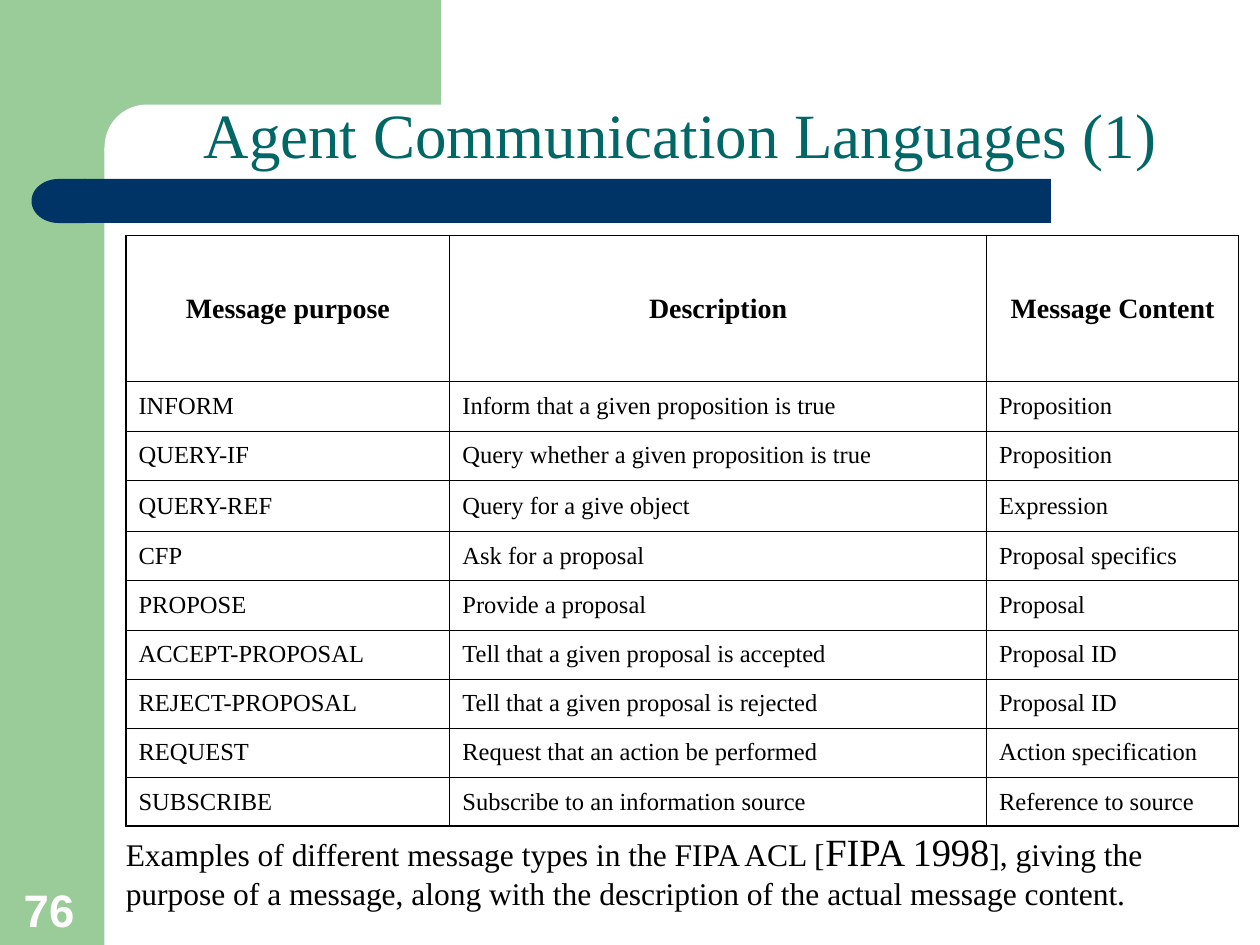
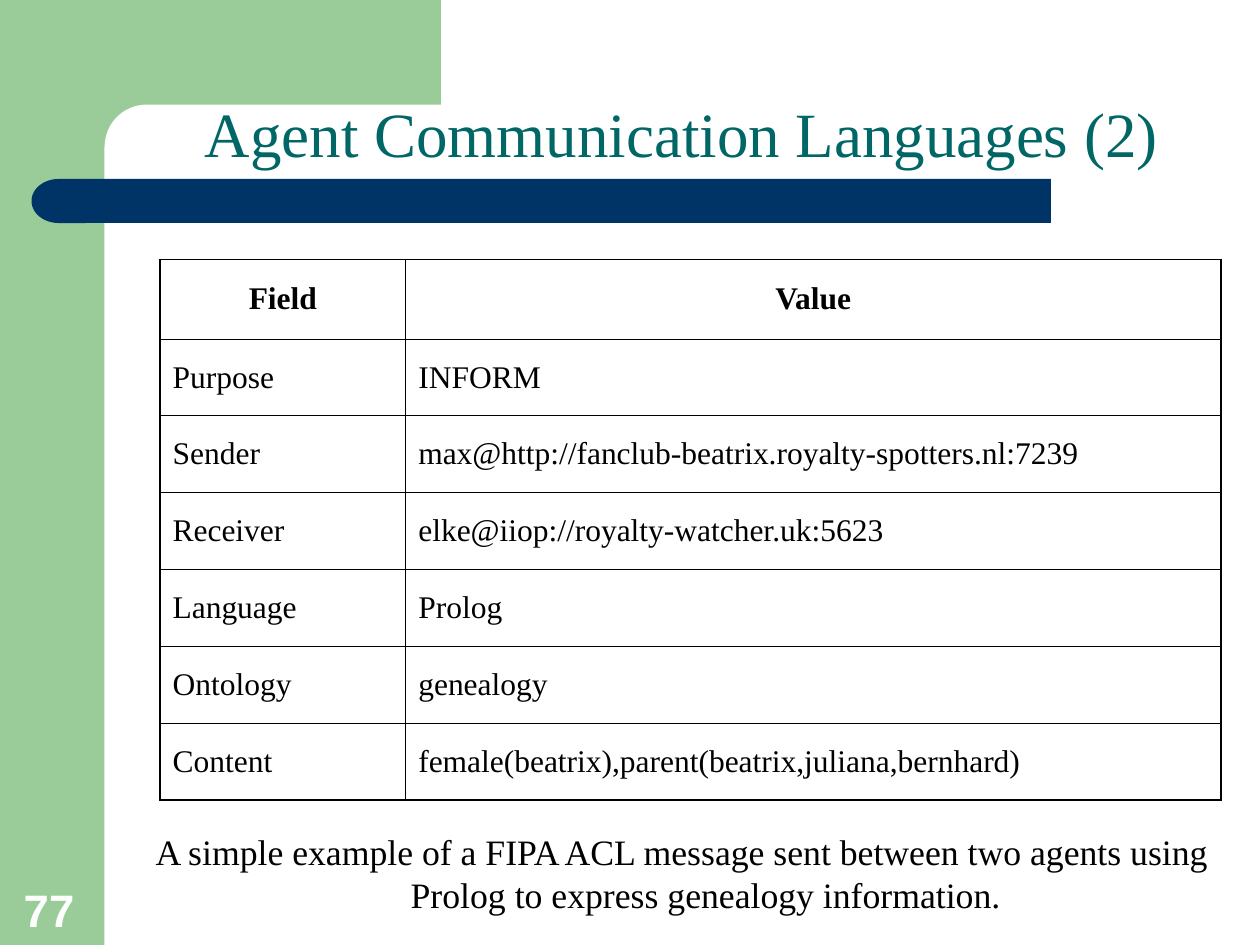
from lxml.etree import SubElement
from pptx import Presentation
from pptx.dml.color import RGBColor
from pptx.enum.shapes import MSO_SHAPE
from pptx.enum.text import MSO_ANCHOR, PP_ALIGN
from pptx.oxml.ns import qn
from pptx.util import Inches, Pt

GREEN = RGBColor(0x99, 0xCC, 0x99)
NAVY = RGBColor(0x00, 0x33, 0x66)
TEAL = RGBColor(0x00, 0x66, 0x66)
BLACK = RGBColor(0x00, 0x00, 0x00)
WHITE = RGBColor(0xFF, 0xFF, 0xFF)
SERIF, SANS = "Times New Roman", "Arial"
OUTER_LINE, INNER_LINE = Pt(1.08), Pt(0.45)
HANGING = 0.38

# Each caption paragraph is a list of (text, size) runs; boxes are left, top, width, height.
PAGES = [
    {
        "number": "76",
        "title": "Agent Communication Languages (1)",
        "title_box": (0.8, 0.75, 9.2, 0.66),
        "table_corner": (1, 1.87),
        "columns": [2.57, 4.26, 2],
        "row_heights": [1.16, 0.39, 0.39, 0.41] + [0.39] * 6,
        "sizes": (16, 14),
        "rows": [
            ("Message purpose", "Description", "Message Content"),
            ("INFORM", "Inform that a given proposition is true", "Proposition"),
            ("QUERY-IF", "Query whether a given proposition is true", "Proposition"),
            ("QUERY-REF", "Query for a give object", "Expression"),
            ("CFP", "Ask for a proposal", "Proposal specifics"),
            ("PROPOSE", "Provide a proposal", "Proposal"),
            ("ACCEPT-PROPOSAL", "Tell that a given proposal is accepted", "Proposal ID"),
            ("REJECT-PROPOSAL", "Tell that a given proposal is rejected", "Proposal ID"),
            ("REQUEST", "Request that an action be performed", "Action specification"),
            ("SUBSCRIBE", "Subscribe to an information source", "Reference to source"),
        ],
        "caption_box": (0.9, 6.59, 9.1, 0.91),
        "caption_align": PP_ALIGN.LEFT,
        "caption_spacing": 0.8,
        "caption": [
            [("Examples of different message types in the FIPA ACL [", 18),
             ("FIPA 1998", 22), ("], giving the", 18)],
            [("purpose of a message, along with the description of the "
              "actual message content.", 18)],
        ],
    },
    {
        "number": "77",
        "title": "Agent Communication Languages (2)",
        "title_box": (0.82, 0.82, 9.18, 0.58),
        "table_corner": (1.27, 2.06),
        "columns": [1.95, 6.47],
        "row_heights": [0.63] + [0.61] * 6,
        "sizes": (18, 18),
        "rows": [
            ("Field", "Value"),
            ("Purpose", "INFORM"),
            ("Sender", "max@http://fanclub-beatrix.royalty-spotters.nl:7239"),
            ("Receiver", "elke@iiop://royalty-watcher.uk:5623"),
            ("Language", "Prolog"),
            ("Ontology", "genealogy"),
            ("Content", "female(beatrix),parent(beatrix,juliana,bernhard)"),
        ],
        "caption_box": (0.82, 6.54, 9.18, 0.78),
        "caption_align": PP_ALIGN.CENTER,
        "caption_spacing": 1.0,
        "caption": [
            [("A simple example of a FIPA ACL message sent between two agents using "
              "Prolog to express genealogy information.", 20.4)],
        ],
    },
]

# Shared background, from back to front: shape, place, colour.
BACKDROP = [
    (MSO_SHAPE.RECTANGLE, (0, 0, 0.83, 7.5), GREEN),
    (MSO_SHAPE.RECTANGLE, (0.75, 0, 2.75, 1.17), GREEN),
    (MSO_SHAPE.ROUNDED_RECTANGLE, (0.83, 0.83, 3.42, 0.67), WHITE),
    (MSO_SHAPE.RECTANGLE, (0.67, 1.42, 7.67, 0.35), NAVY),
    (MSO_SHAPE.FLOWCHART_DELAY, (0.25, 1.42, 0.43, 0.35), NAVY),
]
NUMBER_BOX = (0.09, 6.94, 0.64, 0.54)


def inches(lengths):
    return [Inches(length) for length in lengths]


def add_span(para, text, size, color=BLACK, font=SERIF, bold=False):
    span = para.add_run()
    span.text = text
    span.font.name = font
    span.font.size = Pt(size)
    span.font.bold = bold
    span.font.color.rgb = color


def add_box(page, place, anchor):
    frame = page.shapes.add_textbox(*inches(place)).text_frame
    frame.word_wrap = True
    frame.vertical_anchor = anchor
    return frame


def draw_backdrop(page):
    for kind, place, color in BACKDROP:
        shape = page.shapes.add_shape(kind, *inches(place))
        shape.shadow.inherit = False
        shape.fill.solid()
        shape.fill.fore_color.rgb = color
        shape.line.fill.background()
        if kind == MSO_SHAPE.ROUNDED_RECTANGLE:
            shape.adjustments[0] = 0.5
        elif kind == MSO_SHAPE.FLOWCHART_DELAY:
            shape.rotation = 180


def draw_borders(cell, outer_sides):
    """Line all four sides, heavier on the sides that lie on the table's edge."""
    properties = cell._tc.get_or_add_tcPr()
    for side in "LRTB":
        width = OUTER_LINE if side in outer_sides else INNER_LINE
        line = SubElement(properties, qn(f"a:ln{side}"), w=str(int(width)))
        fill = SubElement(line, qn("a:solidFill"))
        SubElement(fill, qn("a:srgbClr"), val=str(BLACK))


def draw_table(page, content):
    rows, columns, heights = (content[key] for key in ("rows", "columns", "row_heights"))
    left, top = content["table_corner"]
    table = page.shapes.add_table(
        len(rows), len(columns),
        *inches((left, top, sum(columns), sum(heights)))).table
    table.first_row = table.horz_banding = False
    for column, width in zip(table.columns, columns):
        column.width = Inches(width)
    for row, height in zip(table.rows, heights):
        row.height = Inches(height)

    header_size, body_size = content["sizes"]
    for r, texts in enumerate(rows):
        for c, text in enumerate(texts):
            cell = table.cell(r, c)
            edges = {"L": c == 0, "R": c == len(columns) - 1,
                     "T": r == 0, "B": r == len(rows) - 1}
            draw_borders(cell, [side for side, on_edge in edges.items() if on_edge])
            cell.fill.background()
            cell.vertical_anchor = MSO_ANCHOR.MIDDLE
            para = cell.text_frame.paragraphs[0]
            para.alignment = PP_ALIGN.LEFT if r else PP_ALIGN.CENTER
            add_span(para, text, body_size if r else header_size, bold=r == 0)


def draw_caption(page, content):
    frame = add_box(page, content["caption_box"], MSO_ANCHOR.TOP)
    for index, spans in enumerate(content["caption"]):
        para = frame.add_paragraph() if index else frame.paragraphs[0]
        para.alignment = content["caption_align"]
        para.line_spacing = content["caption_spacing"]
        if index:
            para.space_before = Pt(4.5)
        properties = para._p.get_or_add_pPr()
        properties.set("marL", str(Inches(HANGING)))
        properties.set("indent", str(-Inches(HANGING)))
        for text, size in spans:
            add_span(para, text, size)


def draw_page(page, content):
    draw_backdrop(page)
    number = add_box(page, NUMBER_BOX, MSO_ANCHOR.BOTTOM).paragraphs[0]
    add_span(number, content["number"], 26, WHITE, SANS, bold=True)
    title = add_box(page, content["title_box"], MSO_ANCHOR.BOTTOM).paragraphs[0]
    title.alignment = PP_ALIGN.CENTER
    add_span(title, content["title"], 36, TEAL)
    draw_caption(page, content)
    draw_table(page, content)


def main():
    deck = Presentation()
    deck.slide_width, deck.slide_height = Inches(10), Inches(7.5)
    for content in PAGES:
        draw_page(deck.slides.add_slide(deck.slide_layouts[6]), content)
    deck.save("out.pptx")


if __name__ == "__main__":
    main()
